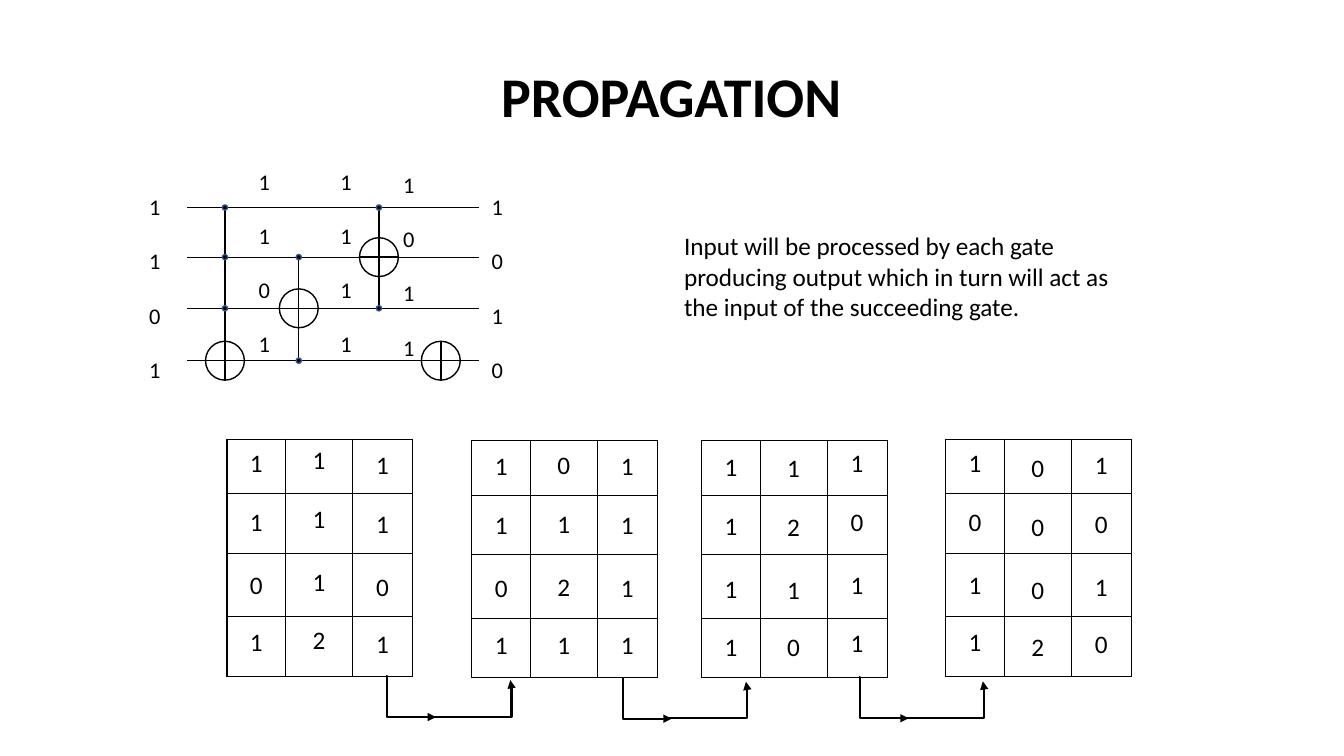
"""Draw the PROPAGATION slide: a gate circuit and its four linked state tables."""
from itertools import product
from typing import Any, NamedTuple

from lxml.etree import SubElement as Sub
from pptx import Presentation as Deck
from pptx.dml.color import RGBColor as Rgb
from pptx.enum.shapes import MSO_CONNECTOR as Link, MSO_SHAPE as Form
from pptx.enum.text import MSO_ANCHOR as Anchor, PP_ALIGN as Align
from pptx.oxml.ns import qn
from pptx.util import Cm, Pt


class Gate(NamedTuple):
    x: float
    target: int
    dots: tuple[int, ...]


class Bits(NamedTuple):
    x: float
    y: float
    text: str


class Grid(NamedTuple):
    x: float
    y: float
    rows: tuple[str, ...]
    drops: tuple[float, ...]


class Arrow(NamedTuple):
    x: float
    y: float


BLACK, WHITE, BLUE = "000000", "FFFFFF", "325491"
WIRES = (5.23, 6.48, 7.77, 9.09)
GATES = (
    Gate(5.67, 3, (0, 1, 2)),
    Gate(7.53, 2, (1, 3)),
    Gate(9.55, 1, (0, 2)),
    Gate(11.11, 3, ()),
)
BITS = (
    Bits(3.51, 4.75, "1101"),
    Bits(6.27, 4.11, "1101"),
    Bits(8.33, 4.11, "1111"),
    Bits(9.91, 4.19, "1011"),
    Bits(12.14, 4.75, "1010"),
)
WIDTHS = (1.48, 1.68, 1.52)
HEIGHTS = (1.37, 1.5, 1.6, 1.5)
SHIFTS = (0.13, 0.24, 0.33, 0.18)
GRIDS = (
    Grid(5.72, 11.07, ("111", "111", "010", "121"), (0.1, 0.03, 0.15)),
    Grid(11.89, 11.1, ("101", "111", "021", "111"), (0.15, 0.13, 0.15)),
    Grid(17.68, 11.1, ("111", "120", "111", "101"), (0.18, 0.2, 0.08)),
    Grid(23.83, 11.07, ("101", "000", "101", "120"), (0.1, 0.23, 0.15)),
)
ARROWS = (Arrow(9.73, 17.04), Arrow(15.67, 17.08), Arrow(21.64, 17.07))


def color(code: str) -> Rgb:
    return Rgb.from_string(code)


def format(item: Any, values: dict[str, Any]) -> None:
    for name, value in values.items():
        setattr(item, name, value)


def write(para: Any, text: str, size: float, bold: bool = False) -> None:
    run = para.add_run()
    run.text = text
    format(run.font, {"name": "Calibri", "size": Pt(size), "bold": bold})
    run.font.color.rgb = color(BLACK)


def add_text(slide: Any, box: tuple[float, ...], lines: tuple[str, ...], size: float,
             wrap: bool = True, bold: bool = False, align: Align = Align.LEFT,
             gap: float = 0) -> None:
    frame = slide.shapes.add_textbox(*map(Cm, box)).text_frame
    format(frame, {"word_wrap": wrap, "vertical_anchor": Anchor.TOP})
    for i, line in enumerate(lines):
        para = frame.add_paragraph() if i else frame.paragraphs[0]
        format(para, {"alignment": align, "space_before": Pt(gap if i else 0)})
        write(para, line, size, bold)


def add_line(slide: Any, ends: tuple[float, ...], width: float,
             kind: Link = Link.STRAIGHT) -> Any:
    line = slide.shapes.add_connector(kind, *map(Cm, ends))
    line.line.color.rgb = color(BLACK)
    line.line.width = Pt(width)
    Sub(line._element.spPr, qn("a:effectLst"))
    return line


def add_round(slide: Any, form: Form, x: float, y: float, size: float,
              edge: str, fill: str = "") -> None:
    box = (x - size / 2, y - size / 2, size, size)
    shape = slide.shapes.add_shape(form, *map(Cm, box))
    shape.shadow.inherit = False
    if fill:
        shape.fill.solid()
        shape.fill.fore_color.rgb = color(fill)
    else:
        shape.fill.background()
    shape.line.color.rgb = color(edge)
    shape.line.width = Pt(1)


def add_gate(slide: Any, gate: Gate) -> None:
    y = WIRES[gate.target]
    add_round(slide, Form.FLOWCHART_OR, gate.x, y, 0.98, BLACK)
    if gate.dots:
        span = sorted((*gate.dots, gate.target))
        add_line(slide, (gate.x, WIRES[span[0]], gate.x, WIRES[span[-1]]), 1)
    for dot in gate.dots:
        add_round(slide, Form.OVAL, gate.x, WIRES[dot], 0.13, BLUE, BLACK)


def add_edge(cell: Any, side: str, width: float) -> None:
    edge = Sub(cell._tc.get_or_add_tcPr(), qn(f"a:ln{side}"), w=str(Pt(width)))
    Sub(Sub(edge, qn("a:solidFill")), qn("a:srgbClr"), val=BLACK)


def add_grid(slide: Any, grid: Grid) -> None:
    rows, cols = len(HEIGHTS), len(WIDTHS)
    box = (grid.x, grid.y, sum(WIDTHS), sum(HEIGHTS))
    table = slide.shapes.add_table(rows, cols, *map(Cm, box)).table
    format(table, {"first_row": False, "horz_banding": False})
    for col, width in zip(table.columns, WIDTHS):
        col.width = Cm(width)
    for row, height in zip(table.rows, HEIGHTS):
        row.height = Cm(height)
    for r, c in product(range(rows), range(cols)):
        cell = table.cell(r, c)
        outer = {"L": c == 0, "R": c == cols - 1, "T": r == 0, "B": r == rows - 1}
        for side, thick in outer.items():
            add_edge(cell, side, 1 if thick else 0.5)
        cell.fill.solid()
        cell.fill.fore_color.rgb = color(WHITE)
        format(cell, {"margin_left": 0, "margin_right": 0, "margin_bottom": 0,
                      "margin_top": Cm(grid.drops[c] + SHIFTS[r])})
        para = cell.text_frame.paragraphs[0]
        para.alignment = Align.CENTER
        write(para, grid.rows[r][c], 18)


def add_arrow(slide: Any, arrow: Arrow) -> None:
    x, y = arrow
    legs = (
        ((x, y, x + 1.26, y + 1.03), 2000),
        ((x + 1.2, y + 1.02, x + 3.13, y + 0.1), 101600),
    )
    for ends, bend in legs:
        line = add_line(slide, ends, 1.5, Link.ELBOW)
        Sub(line.line._get_or_add_ln(), qn("a:tailEnd"), type="triangle")
        guides = line._element.spPr.find(qn("a:prstGeom")).find(qn("a:avLst"))
        Sub(guides, qn("a:gd"), name="adj1", fmla=f"val {bend}")


def main() -> None:
    deck = Deck()
    format(deck, {"slide_width": Cm(33.87), "slide_height": Cm(19.05)})
    slide = deck.slides.add_slide(deck.slide_layouts[6])
    add_text(slide, (9.42, 1.42, 14.99, 1.96), ("PROPAGATION",), 40,
             bold=True, align=Align.CENTER)
    for y in WIRES:
        add_line(slide, (4.72, y, 12.07, y), 0.5)
    for gate in GATES:
        add_gate(slide, gate)
    for bits in BITS:
        add_text(slide, (bits.x, bits.y, 0.81, 5.05), tuple(bits.text), 16,
                 wrap=False, gap=19.5)
    for grid in GRIDS:
        add_grid(slide, grid)
    for arrow in ARROWS:
        add_arrow(slide, arrow)
    note = ("Input will be processed by each gate producing output which in turn "
            "will act as the input of the succeeding gate.")
    add_text(slide, (16.99, 5.69, 11.28, 2.57), (note,), 18)
    deck.save("out.pptx")


if __name__ == "__main__":
    main()
